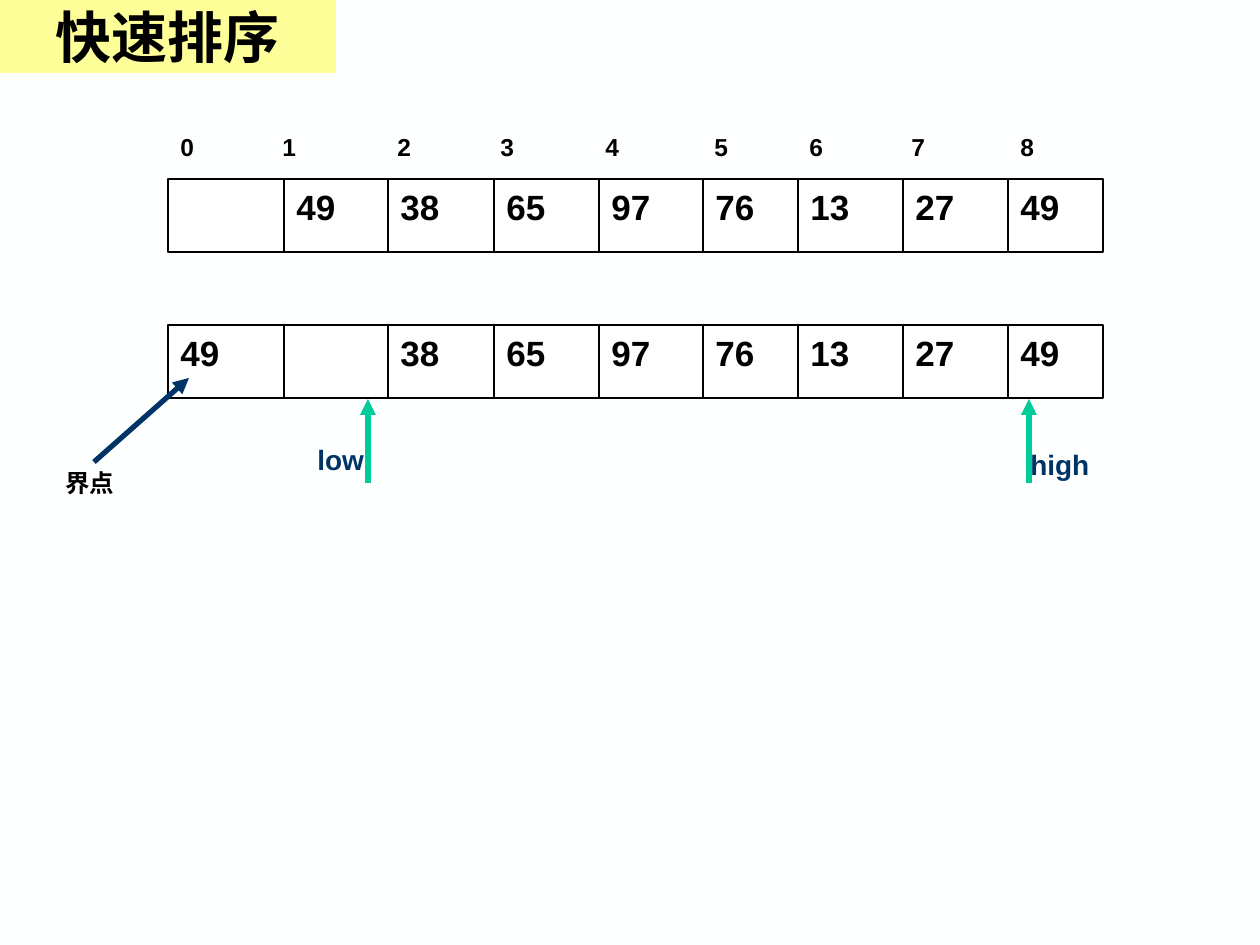
from lxml.etree import SubElement
from pptx import Presentation
from pptx.dml.color import RGBColor
from pptx.enum.dml import MSO_THEME_COLOR
from pptx.enum.shapes import MSO_CONNECTOR, MSO_SHAPE
from pptx.enum.text import MSO_ANCHOR, MSO_AUTO_SIZE, PP_ALIGN
from pptx.oxml.ns import qn
from pptx.util import Emu, Pt

SCALE = 914400 // 126
BLACK, WHITE, NAVY, GREEN = "000000", "FFFFFF", "003366", "00CC99"
PAGE_COLOR, TITLE_COLOR = "FEFFFF", "FFFF99"

TITLE = "快速排序"
INDEXES = ["0", "1", "2", "3", "4", "5", "6", "7", "8"]
INDEX_STOPS = [102, 217, 320, 425, 534, 629, 731, 840]
ARRAYS = [  # top, values
    (179, ["", "49", "38", "65", "97", "76", "13", "27", "49"]),
    (325, ["49", "", "38", "65", "97", "76", "13", "27", "49"]),
]
CELL_LEFTS = [168, 284, 388, 494, 599, 703, 798, 903, 1008]
ARRAY_RIGHT, ARRAY_HEIGHT = 1103, 73
POINTERS = [  # label, arrow x, label left, label top
    ("low", 368, 305, 436),
    ("high", 1029, 1018, 441),
]
POINTER_TIP, POINTER_TAIL = 399, 483
PIVOT = "界点"


def px(length):
    return Emu(length * SCALE)


def color(value):
    return RGBColor.from_string(value)


def add_span(para, text, size, ink=BLACK, font="Arial"):
    span = para.add_run()
    span.text = text
    span.font.size = Pt(size)
    span.font.name = font
    span.font.bold = True
    span.font.color.rgb = color(ink)


def add_label(shapes, text, left, top, width, height, size, ink=BLACK, stops=()):
    box = shapes.add_textbox(px(left), px(top), px(width), px(height))
    box.text_frame.word_wrap = True
    para = box.text_frame.paragraphs[0]
    if stops:
        tabs = SubElement(para._p.get_or_add_pPr(), qn("a:tabLst"))
        for stop in stops:
            SubElement(tabs, qn("a:tab"), pos=str(px(stop)), algn="l")
    add_span(para, text, size, ink)


def add_line(shapes, start, end, ink, width, arrow=False):
    line = shapes.add_connector(MSO_CONNECTOR.STRAIGHT, *map(px, start + end))
    line.line.color.rgb = color(ink)
    line.line.width = Pt(width)
    if arrow:
        SubElement(line.line._get_or_add_ln(), qn("a:tailEnd"), type="triangle")
    SubElement(line._element.spPr, qn("a:effectLst"))


def add_array(page, top, values):
    group = page.shapes.add_group_shape().shapes
    left = CELL_LEFTS[0]
    frame = group.add_shape(MSO_SHAPE.RECTANGLE, px(left), px(top),
                            px(ARRAY_RIGHT - left), px(ARRAY_HEIGHT))
    frame.shadow.inherit = False
    frame.fill.solid()
    frame.fill.fore_color.rgb = color(WHITE)
    frame.line.color.rgb = color(BLACK)
    frame.line.width = Pt(0.75)
    for x in CELL_LEFTS[1:]:
        add_line(group, (x, top), (x, top + ARRAY_HEIGHT), BLACK, 0.75)
    for x, value in zip(CELL_LEFTS, values):
        if value:
            add_label(page.shapes, value, x, top, 84, 55, 20)


def add_title(page):
    title = page.shapes.title
    title.left, title.top, title.width, title.height = map(px, (0, 0, 336, 73))
    title.fill.solid()
    title.fill.fore_color.rgb = color(TITLE_COLOR)
    frame = title.text_frame
    frame.auto_size = MSO_AUTO_SIZE.NONE
    frame.vertical_anchor = MSO_ANCHOR.MIDDLE
    para = frame.paragraphs[0]
    para.alignment = PP_ALIGN.CENTER
    add_span(para, TITLE, 32, font="Times New Roman")


def main():
    deck = Presentation()
    deck.slide_width, deck.slide_height = px(1260), px(945)
    page = deck.slides.add_slide(deck.slide_layouts[5])
    page.background.fill.solid()
    page.background.fill.fore_color.rgb = color(PAGE_COLOR)

    add_title(page)
    add_label(page.shapes, "\t".join(INDEXES), 168, 126, 935, 43, 14,
              stops=INDEX_STOPS)
    for top, values in ARRAYS:
        add_array(page, top, values)
    for name, x, left, top in POINTERS:
        group = page.shapes.add_group_shape().shapes
        add_line(group, (x, POINTER_TAIL), (x, POINTER_TIP), GREEN, 3, arrow=True)
        add_label(group, name, left, top, 116, 47, 16, NAVY)
    add_label(page.shapes, PIVOT, 53, 462, 105, 43, 14)
    add_line(page.shapes, (94, 462), (189, 378), NAVY, 3, arrow=True)
    deck.save("out.pptx")


if __name__ == "__main__":
    main()
